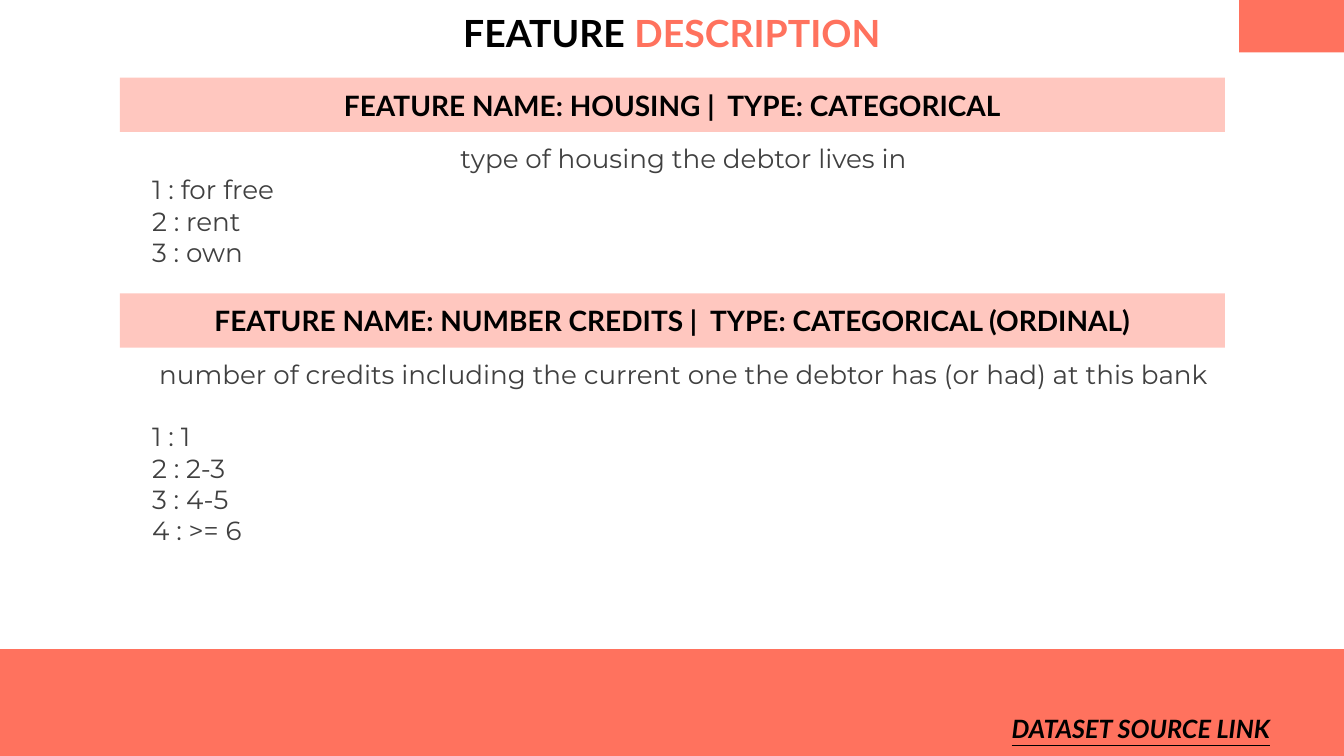
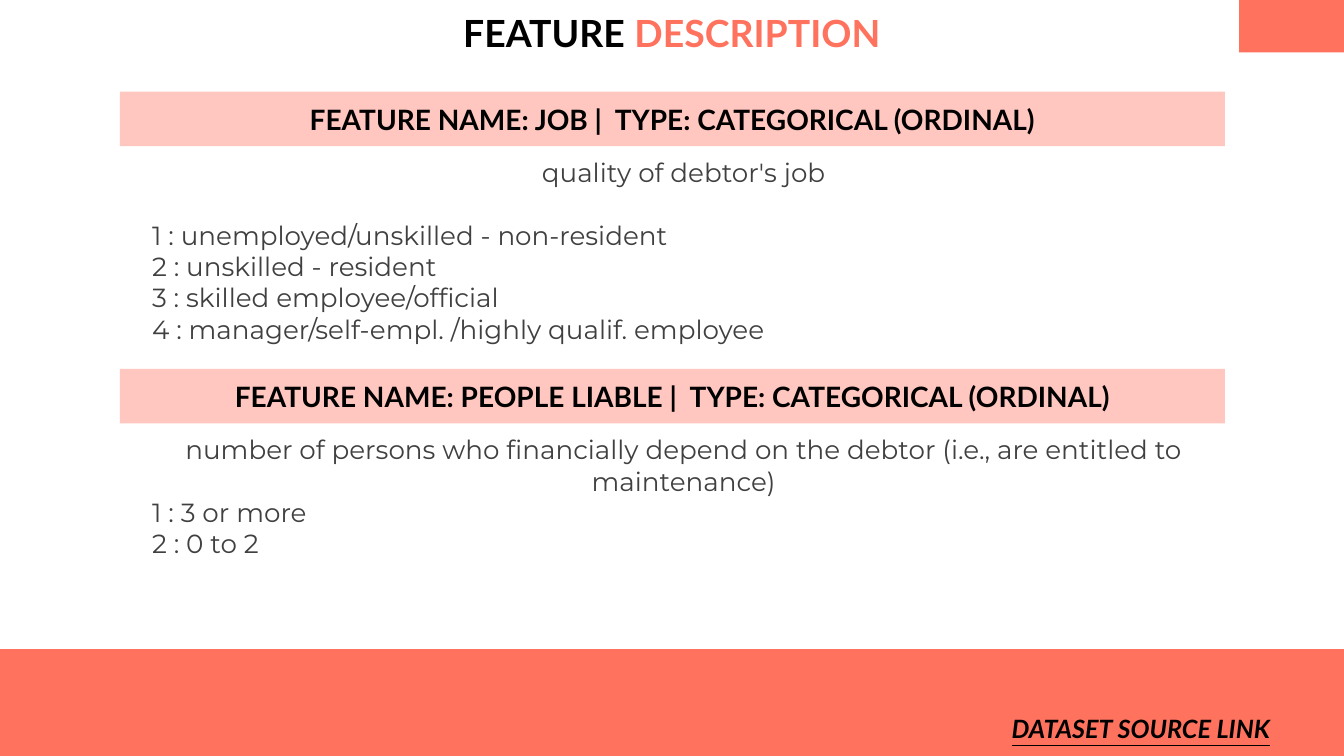
"""Build two slides that describe the features of a credit dataset."""
from dataclasses import dataclass

from pptx import Presentation
from pptx import util as u
from pptx.dml.color import RGBColor
from pptx.enum import shapes, text


@dataclass(frozen=True)
class Theme:
    accent: str = "FF725E"
    tint: str = "FFC7BF"
    ink: str = "000000"
    body_ink: str = "404040"
    heading_font: str = "Lato"
    body_font: str = "Montserrat"
    title_size: float = 26.7
    bar_size: float = 20
    body_size: float = 18.7
    link_size: float = 18
    blank_line: float = 22.3
    column_left: float = 1.19
    column_width: float = 10.96
    bar_height: float = 0.54


@dataclass(frozen=True)
class Feature:
    top: float
    name: str
    kind: str
    description: str
    codes: tuple
    spaced: bool = False
    indent: float = 0.22


THEME = Theme()
ORDINAL = "CATEGORICAL (ORDINAL)"
SLIDES = (
    (
        Feature(0.77, "HOUSING", "CATEGORICAL", "type of housing the debtor lives in",
                ("for free", "rent", "own")),
        Feature(2.91, "NUMBER CREDITS", ORDINAL,
                "number of credits including the current one the debtor has (or had) at this bank",
                ("1", "2-3", "4-5", ">= 6"), spaced=True),
    ),
    (
        Feature(0.91, "JOB", ORDINAL, "quality of debtor's job",
                ("unemployed/unskilled - non-resident", "unskilled - resident",
                 "skilled employee/official", "manager/self-empl. /highly qualif. employee"),
                spaced=True, indent=0.29),
        Feature(3.66, "PEOPLE LIABLE", ORDINAL,
                "number of persons who financially depend on the debtor "
                "(i.e., are entitled to maintenance)",
                ("3 or more", "0 to 2"), indent=0.44),
    ),
)


def place(left, top, width, height):
    """Convert a rectangle in inches to lengths."""
    return [u.Inches(value) for value in (left, top, width, height)]


def style(span, font, size, color, bold=False):
    """Format one run."""
    span.font.name = font
    span.font.size = u.Pt(size)
    span.font.color.rgb = RGBColor.from_string(color)
    span.font.bold = bold


def add_band(page, area, color):
    """Add a plain filled rectangle."""
    band = page.shapes.add_shape(shapes.MSO_SHAPE.RECTANGLE, *place(*area))
    band.shadow.inherit = False
    band.fill.solid()
    band.fill.fore_color.rgb = RGBColor.from_string(color)
    band.line.fill.background()
    return band


def add_box(page, area):
    """Add a wrapping text box and return its frame."""
    frame = page.shapes.add_textbox(*place(*area)).text_frame
    frame.word_wrap = True
    return frame


def add_heading(frame, parts, size):
    """Write one centred bold line from pairs of words and colour."""
    frame.vertical_anchor = text.MSO_ANCHOR.MIDDLE
    para = frame.paragraphs[0]
    para.alignment = text.PP_ALIGN.CENTER
    for words, color in parts:
        span = para.add_run()
        span.text = words
        style(span, THEME.heading_font, size, color, bold=True)
    return para


def add_frame(page):
    """Add the bands, title and footer that every slide shares."""
    add_band(page, (0, 6.44, 13.33, 1.06), THEME.accent)
    add_band(page, (12.29, 0, 1.04, 0.52), THEME.accent)
    title = add_box(page, (0.87, 0, 11.59, 0.65))
    add_heading(title, (("FEATURE ", THEME.ink), ("DESCRIPTION", THEME.accent)),
                THEME.title_size)
    footer = add_box(page, (9.29, 6.96, 4.05, 0.54))
    para = add_heading(footer, (("DATASET SOURCE LINK", THEME.ink),), THEME.link_size)
    para.runs[0].font.italic = True
    para.runs[0].font.underline = True


def add_body(page, feature):
    """Add the description of a feature and its numbered codes."""
    height = 2.21 if feature.spaced else 1.38
    frame = add_box(page, (THEME.column_left, feature.top + THEME.bar_height,
                           THEME.column_width, height))
    frame.margin_top = frame.margin_bottom = u.Inches(0.1)
    codes = [f"{number} : {code}" for number, code in enumerate(feature.codes, 1)]
    frame.text = "\n".join([feature.description, *codes])
    description, *entries = frame.paragraphs
    description.alignment = text.PP_ALIGN.CENTER
    if feature.spaced:
        entries[0].space_before = u.Pt(THEME.blank_line)
    for para in frame.paragraphs:
        indent = feature.indent if para is description else Feature.indent
        para._p.get_or_add_pPr().set("marL", str(u.Inches(indent)))
        style(para.runs[0], THEME.body_font, THEME.body_size, THEME.body_ink)


def add_feature(page, feature):
    """Add the heading bar of a feature with its body below."""
    bar = add_band(page, (THEME.column_left, feature.top, THEME.column_width,
                          THEME.bar_height), THEME.tint)
    words = f"FEATURE NAME: {feature.name} |  TYPE: {feature.kind}"
    add_heading(bar.text_frame, ((words, THEME.ink),), THEME.bar_size)
    add_body(page, feature)


def main():
    """Build and save the deck."""
    deck = Presentation()
    deck.slide_width = u.Inches(13.33)
    deck.slide_height = u.Inches(7.5)
    for features in SLIDES:
        page = deck.slides.add_slide(deck.slide_layouts[6])
        add_frame(page)
        for feature in features:
            add_feature(page, feature)
    deck.save("out.pptx")


main()
